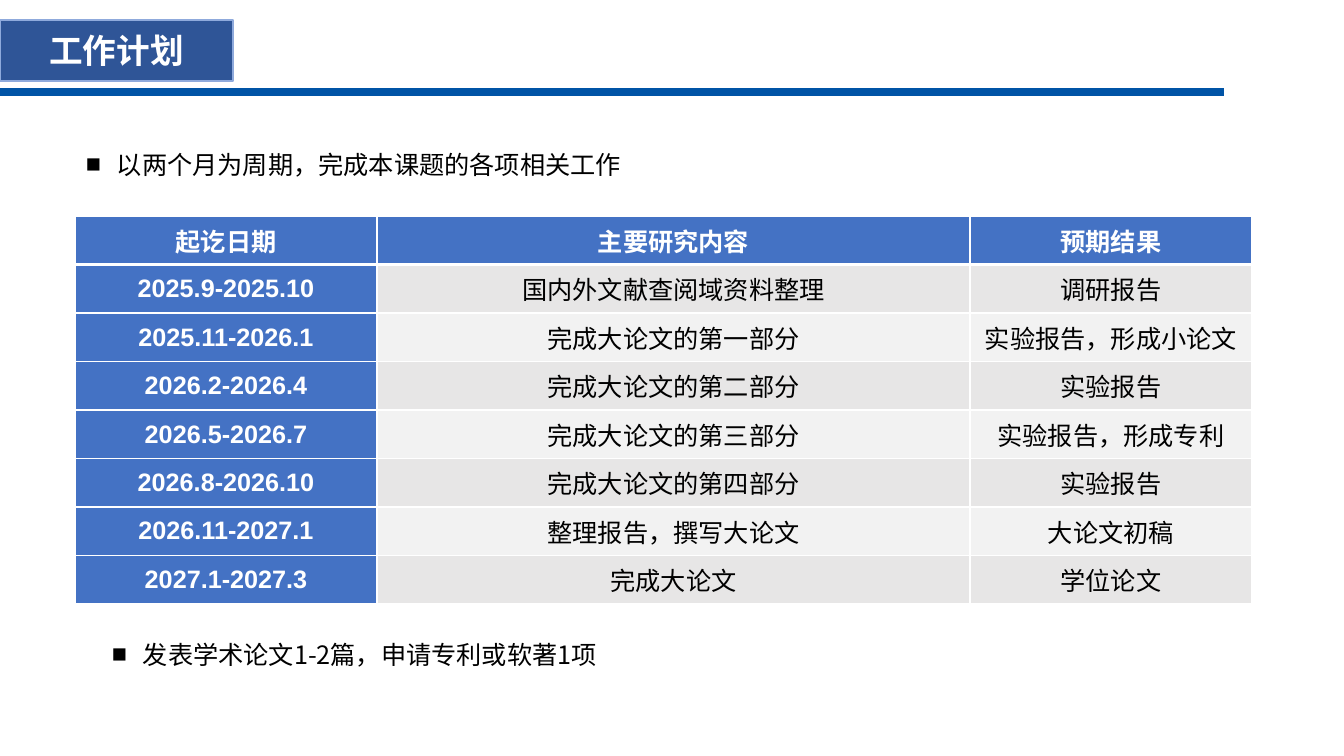
from lxml import etree
from pptx import Presentation
from pptx import util as u
from pptx.dml.color import RGBColor
from pptx.enum import shapes, text
from pptx.oxml.ns import qn

TITLE = "工作计划"
NOTES = [
    (76, 144, "以两个月为周期，完成本课题的各项相关工作"),
    (102, 634, "发表学术论文1-2篇，申请专利或软著1项"),
]
PLAN = [
    ("起讫日期", "主要研究内容", "预期结果"),
    ("2025.9-2025.10", "国内外文献查阅域资料整理", "调研报告"),
    ("2025.11-2026.1", "完成大论文的第一部分", "实验报告，形成小论文"),
    ("2026.2-2026.4", "完成大论文的第二部分", "实验报告"),
    ("2026.5-2026.7", "完成大论文的第三部分", "实验报告，形成专利"),
    ("2026.8-2026.10", "完成大论文的第四部分", "实验报告"),
    ("2026.11-2027.1", "整理报告，撰写大论文", "大论文初稿"),
    ("2027.1-2027.3", "完成大论文", "学位论文"),
]
WIDTHS = [302, 593, 282]
HEIGHT = 388

WHITE = RGBColor(0xFF, 0xFF, 0xFF)
BLACK = RGBColor(0, 0, 0)
RULE = RGBColor(0x00, 0x54, 0xA6)
NAVY = RGBColor(0x2F, 0x55, 0x97)
EDGE = RGBColor(0x8F, 0xAA, 0xDC)
BLUE = RGBColor(0x44, 0x72, 0xC4)
BANDS = [RGBColor(0xF2, 0xF2, 0xF2), RGBColor(0xE7, 0xE6, 0xE6)]
HAN = "Noto Sans CJK SC"


def px(n):
    return round(n * 914400 / 100.8)


def style(par, size, color, bold=False, face=HAN):
    font = par.font
    font.size = u.Pt(size)
    font.bold = bold
    font.color.rgb = color
    font.name = face
    props = par._p.pPr.find(qn("a:defRPr"))
    etree.SubElement(props, qn("a:ea")).set("typeface", HAN)


def bullet(par):
    props = par._p.get_or_add_pPr()
    props.set("marL", str(px(31)))
    props.set("indent", str(-px(31)))
    etree.SubElement(props, qn("a:buFont")).set("typeface", "Arial")
    etree.SubElement(props, qn("a:buChar")).set("char", "■")


def border(cell, row):
    props = cell._tc.get_or_add_tcPr()
    wide = {"lnT": row == 1, "lnB": row == 0}
    for i, side in enumerate(("lnL", "lnR", "lnT", "lnB")):
        line = etree.Element(qn("a:" + side))
        line.set("w", str(u.Pt(3 if wide.get(side) else 1)))
        fill = etree.SubElement(line, qn("a:solidFill"))
        etree.SubElement(fill, qn("a:srgbClr")).set("val", str(WHITE))
        props.insert(i, line)


def head(slide):
    line = slide.shapes.add_connector(
        shapes.MSO_CONNECTOR.STRAIGHT, 0, px(92), px(1224), px(92))
    line.line.color.rgb = RULE
    line.line.width = u.Pt(6)
    etree.SubElement(line._element.spPr, qn("a:effectLst"))
    box = slide.shapes.add_shape(
        shapes.MSO_SHAPE.RECTANGLE, 0, px(20), px(233), px(61))
    box.shadow.inherit = False
    box.fill.solid()
    box.fill.fore_color.rgb = NAVY
    box.line.color.rgb = EDGE
    box.line.width = u.Pt(1)
    frame = box.text_frame
    frame.text = TITLE
    frame.vertical_anchor = text.MSO_ANCHOR.MIDDLE
    par = frame.paragraphs[0]
    par.alignment = text.PP_ALIGN.CENTER
    style(par, 24, WHITE, True)


def note(slide, left, top, words):
    frame = slide.shapes.add_textbox(
        px(left), px(top), px(906), px(40)).text_frame
    frame.word_wrap = True
    frame.auto_size = text.MSO_AUTO_SIZE.SHAPE_TO_FIT_TEXT
    frame.text = words
    par = frame.paragraphs[0]
    bullet(par)
    style(par, 18, BLACK)


def grid(slide):
    table = slide.shapes.add_table(
        len(PLAN), len(WIDTHS), px(75), px(216),
        px(sum(WIDTHS)), px(HEIGHT)).table
    for col, width in zip(table.columns, WIDTHS):
        col.width = px(width)
    for r, row in enumerate(PLAN):
        for c, words in enumerate(row):
            cell = table.cell(r, c)
            strong = r == 0 or c == 0
            cell.text = words
            cell.vertical_anchor = text.MSO_ANCHOR.MIDDLE
            cell.fill.solid()
            cell.fill.fore_color.rgb = BLUE if strong else BANDS[r % 2]
            border(cell, r)
            par = cell.text_frame.paragraphs[0]
            par.alignment = text.PP_ALIGN.CENTER
            style(par, 18, WHITE if strong else BLACK, strong, "Arial")


def main():
    deck = Presentation()
    deck.slide_width = px(1344)
    deck.slide_height = px(756)
    slide = deck.slides.add_slide(deck.slide_layouts[6])
    head(slide)
    for item in NOTES:
        note(slide, *item)
    grid(slide)
    deck.save("out.pptx")


if __name__ == "__main__":
    main()
